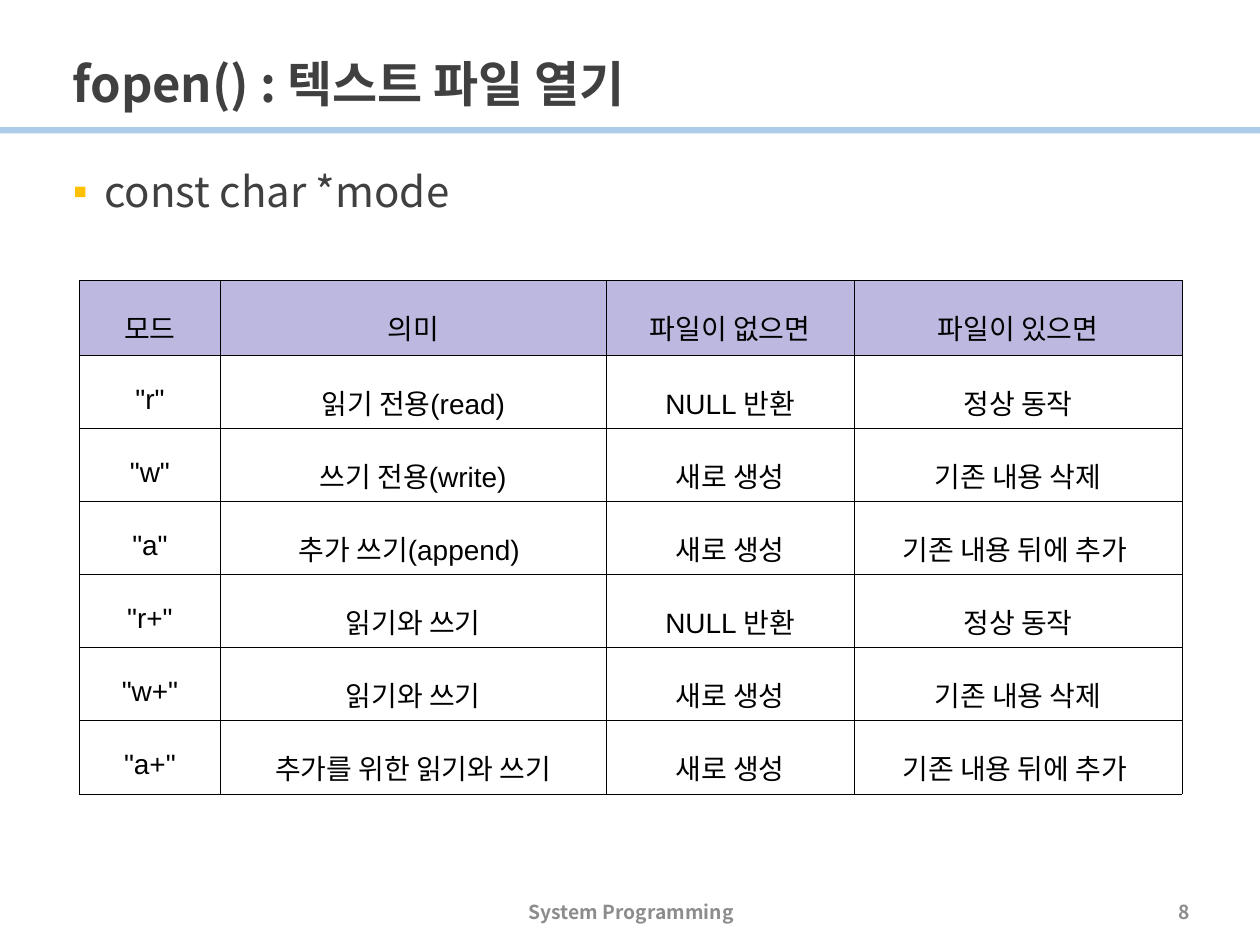
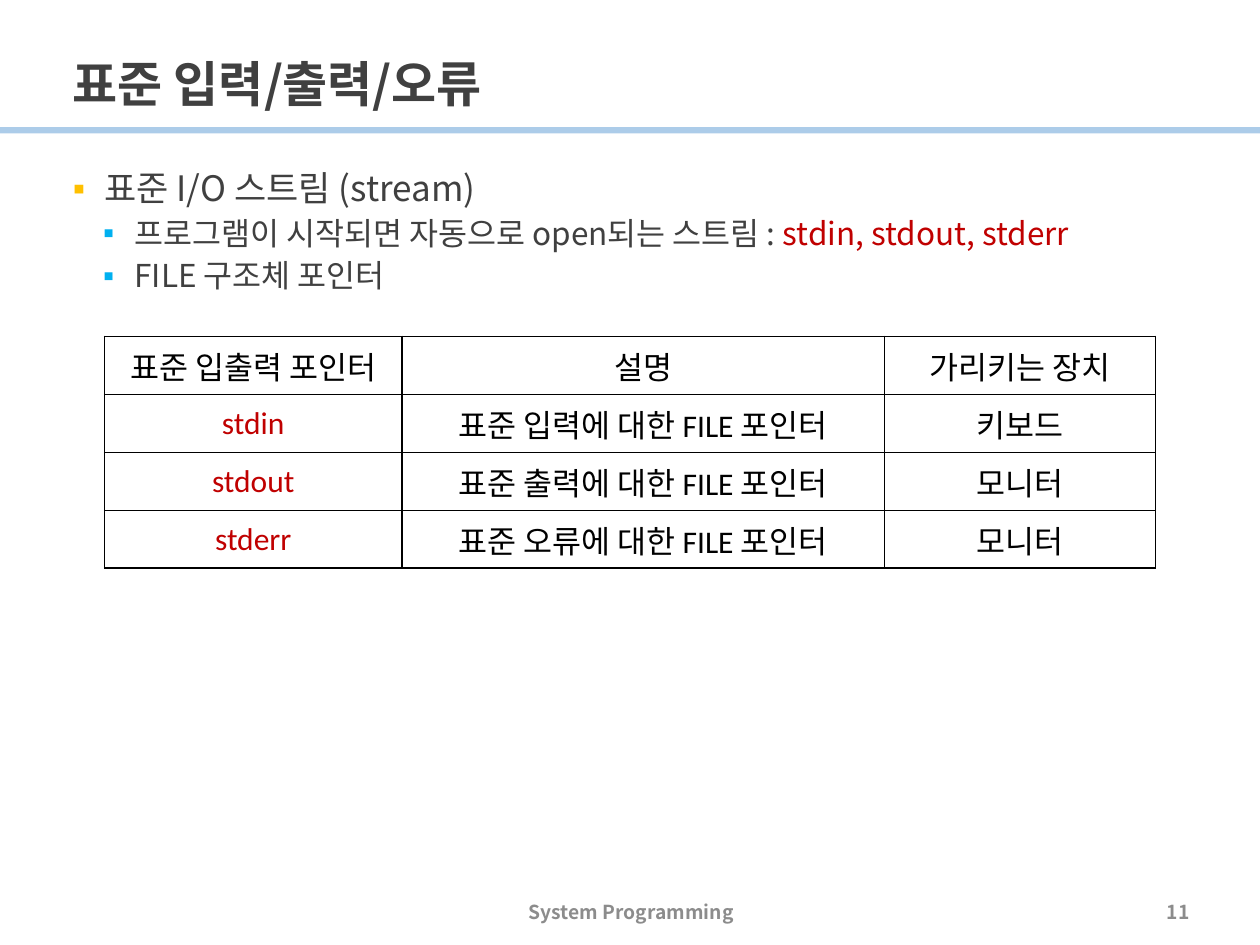
import pptx
import pptx.util
import pptx.dml.color
import pptx.enum.shapes
import pptx.enum.text
import pptx.oxml
import pptx.oxml.ns

Inches = pptx.util.Inches
Pt = pptx.util.Pt
RGBColor = pptx.dml.color.RGBColor
Align = pptx.enum.text.PP_ALIGN
Anchor = pptx.enum.text.MSO_ANCHOR

BLACK = RGBColor(0x00, 0x00, 0x00)
DARK = RGBColor(0x40, 0x40, 0x40)
GREY = RGBColor(0x8C, 0x8C, 0x8C)
RED = RGBColor(0xC0, 0x00, 0x00)
BLUE = RGBColor(0x5B, 0x9B, 0xD5)
LILAC = RGBColor(0xBC, 0xB8, 0xE0)
GOLD = RGBColor(0xFF, 0xC0, 0x00)
SKY = RGBColor(0x00, 0xB0, 0xF0)
SANS = "Noto Sans CJK KR"
COURSE = "System Programming"

MODES = [
    ["모드", "의미", "파일이 없으면", "파일이 있으면"],
    ['"r"', "읽기 전용(read)", "NULL 반환", "정상 동작"],
    ['"w"', "쓰기 전용(write)", "새로 생성", "기존 내용 삭제"],
    ['"a"', "추가 쓰기(append) ", "새로 생성", "기존 내용 뒤에 추가 "],
    ['"r+"', "읽기와 쓰기", "NULL 반환", "정상 동작"],
    ['"w+"', "읽기와 쓰기", "새로 생성", "기존 내용 삭제"],
    ['"a+"', "추가를 위한 읽기와 쓰기", "새로 생성", "기존 내용 뒤에 추가 "],
]
STREAMS = [
    ["표준 입출력 포인터", "설명", "가리키는 장치"],
    ["stdin", "표준 입력에 대한 FILE 포인터", "키보드"],
    ["stdout", "표준 출력에 대한 FILE 포인터", "모니터"],
    ["stderr", "표준 오류에 대한 FILE 포인터", "모니터"],
]


def add_xml(parent, tag, **attrs):
    """Append a DrawingML child with the given attributes."""
    node = pptx.oxml.parse_xml(f"<a:{tag} {pptx.oxml.ns.nsdecls('a')}/>")
    for key, value in attrs.items():
        node.set(key, str(value))
    parent.append(node)
    return node


def style(para, size, color, face=SANS, bold=False):
    """Set the font of a whole paragraph."""
    font = para.font
    font.size, font.name, font.bold = Pt(size), face, bold
    font.color.rgb = color
    add_xml(para._p.pPr.defRPr, "ea", typeface=SANS)


def add_box(slide, left, top, width, height, anchor):
    """Add a wrapping text box and return its frame."""
    box = slide.shapes.add_textbox(*map(Inches, (left, top, width, height)))
    frame = box.text_frame
    frame.word_wrap = True
    frame.vertical_anchor = anchor
    return frame


def add_line(slide, text, place, anchor, size, color, align):
    """Add a box with one bold line."""
    para = add_box(slide, *place, anchor).paragraphs[0]
    para.text, para.alignment = text, align
    style(para, size, color, bold=True)
    return para


def add_page(deck, title, number):
    """Add a slide with its band, title and footer."""
    slide = deck.slides.add_slide(deck.slide_layouts[6])
    band = slide.shapes.add_shape(
        pptx.enum.shapes.MSO_SHAPE.RECTANGLE,
        *map(Inches, (0, 1.01, 10, 0.05)))
    band.shadow.inherit = False
    band.fill.solid()
    band.fill.fore_color.rgb = BLUE
    band.line.fill.background()
    color = band._element.spPr.find(".//" + pptx.oxml.ns.qn("a:srgbClr"))
    add_xml(color, "alpha", val=50000)

    head = add_line(slide, title, (0.48, 0.15, 9.06, 0.8), Anchor.BOTTOM,
                    28, DARK, Align.LEFT)
    head.line_spacing = 0.9
    add_line(slide, COURSE, (3.32, 7.12, 3.38, 0.23),
             Anchor.MIDDLE, 11, GREY, Align.CENTER)
    add_line(slide, str(number), (7.29, 7.12, 2.25, 0.23),
             Anchor.MIDDLE, 11, GREY, Align.RIGHT)
    return slide


def add_list(slide, items):
    """Add bullets given as level, size, text and red ending."""
    frame = add_box(slide, 0.48, 1.31, 9.06, 5.71, Anchor.TOP)
    for index, (level, size, text, tail) in enumerate(items):
        para = frame.add_paragraph() if index else frame.paragraphs[0]
        para.level = level
        para.line_spacing = 0.9
        para.space_before = Pt(5 if level else 10)
        props = para._p.get_or_add_pPr()
        props.set("marL", str(Inches(0.49 if level else 0.25)))
        props.set("indent", str(Inches(-0.25)))
        add_xml(add_xml(props, "buClr"), "srgbClr", val=SKY if level else GOLD)
        add_xml(props, "buFont", typeface="Arial")
        add_xml(props, "buChar", char="▪")
        style(para, size, DARK)
        para.add_run().text = text
        if tail:
            run = para.add_run()
            run.text = tail
            run.font.color.rgb = RED


def add_edges(cell, width):
    """Draw black lines on all four sides of a cell."""
    props = cell._tc.get_or_add_tcPr()
    for side in ("lnL", "lnR", "lnT", "lnB"):
        edge = add_xml(props, side, w=Pt(width))
        add_xml(add_xml(edge, "solidFill"), "srgbClr", val=BLACK)


def add_grid(slide, data, left, top, cols, rows, face, size, edge,
             fill=None, key=BLACK, space=1.0):
    """Add a centred table with an optional header fill and key colour."""
    frame = slide.shapes.add_table(
        len(rows), len(cols),
        *map(Inches, (left, top, sum(cols), sum(rows))))
    table = frame.table
    table.first_row = table.horz_banding = False
    for col, width in zip(table.columns, cols):
        col.width = Inches(width)
    for row, height in zip(table.rows, rows):
        row.height = Inches(height)
    for r, texts in enumerate(data):
        for c, text in enumerate(texts):
            cell = table.cell(r, c)
            cell.vertical_anchor = Anchor.MIDDLE
            add_edges(cell, edge)
            if fill and r == 0:
                cell.fill.solid()
                cell.fill.fore_color.rgb = fill
            else:
                cell.fill.background()
            para = cell.text_frame.paragraphs[0]
            para.text, para.alignment = text, Align.CENTER
            para.line_spacing = space
            style(para, size, key if r and c == 0 else BLACK, face)


def main():
    """Build the two slides and save them."""
    deck = pptx.Presentation()
    deck.slide_width, deck.slide_height = Inches(10), Inches(7.5)

    slide = add_page(deck, "fopen() : 텍스트 파일 열기", 8)
    add_list(slide, [(0, 24, "const char *mode", "")])
    add_grid(slide, MODES, 0.63, 2.22, [1.12, 3.06, 1.97, 2.6],
             [0.6] + [0.58] * 6, "Arial", 16, 0.28, fill=LILAC, space=1.5)

    slide = add_page(deck, "표준 입력/출력/오류", 11)
    add_list(slide, [
        (0, 20, "표준 I/O 스트림 (stream)", ""),
        (1, 18, "프로그램이 시작되면 자동으로 open되는 스트림 : ",
         "stdin, stdout, stderr"),
        (1, 18, "FILE 구조체 포인터", ""),
    ])
    add_grid(slide, STREAMS, 0.83, 2.67, [2.36, 3.83, 2.15], [0.46] * 4,
             "Calibri", 18, 1, key=RED)
    deck.save("out.pptx")


if __name__ == "__main__":
    main()
